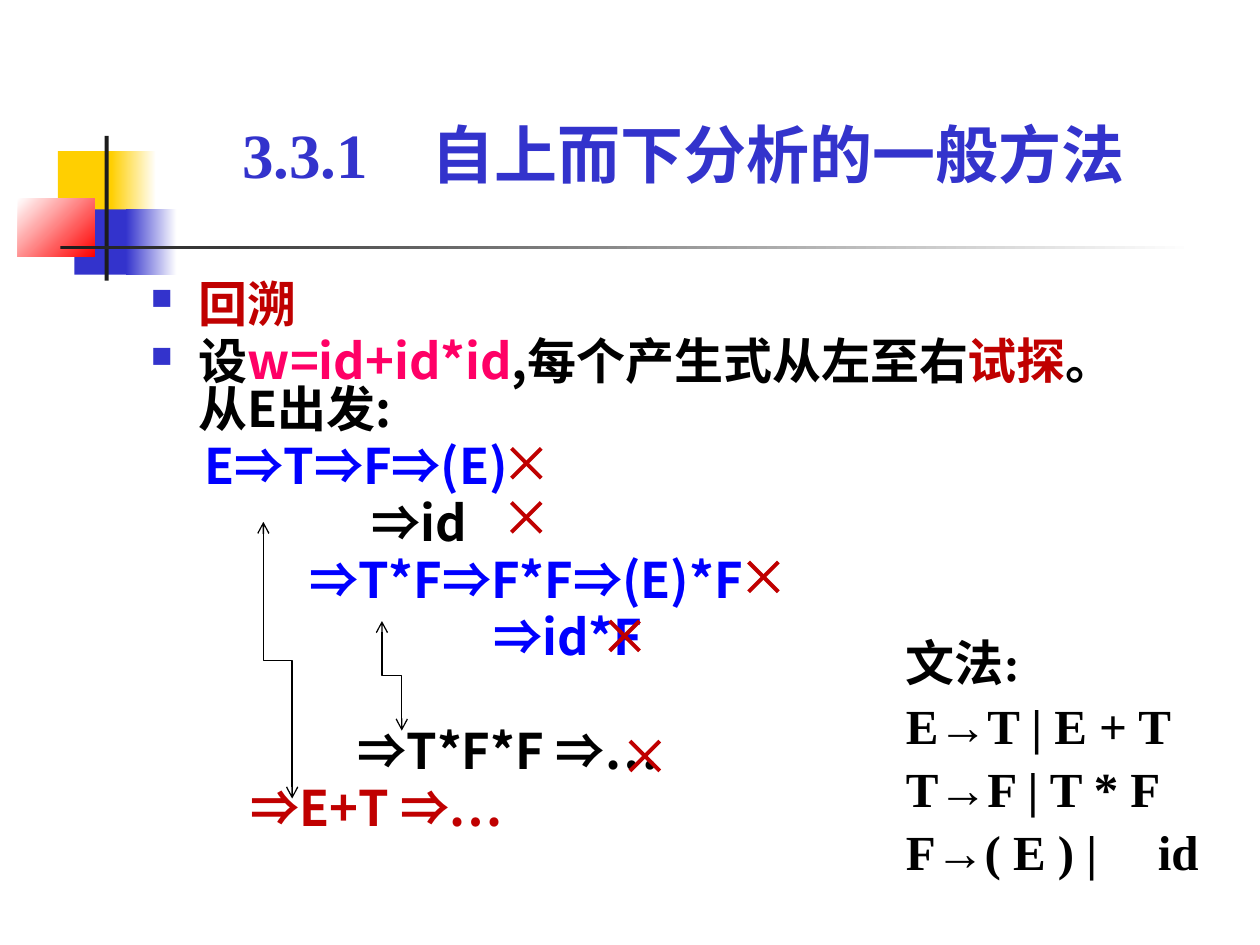
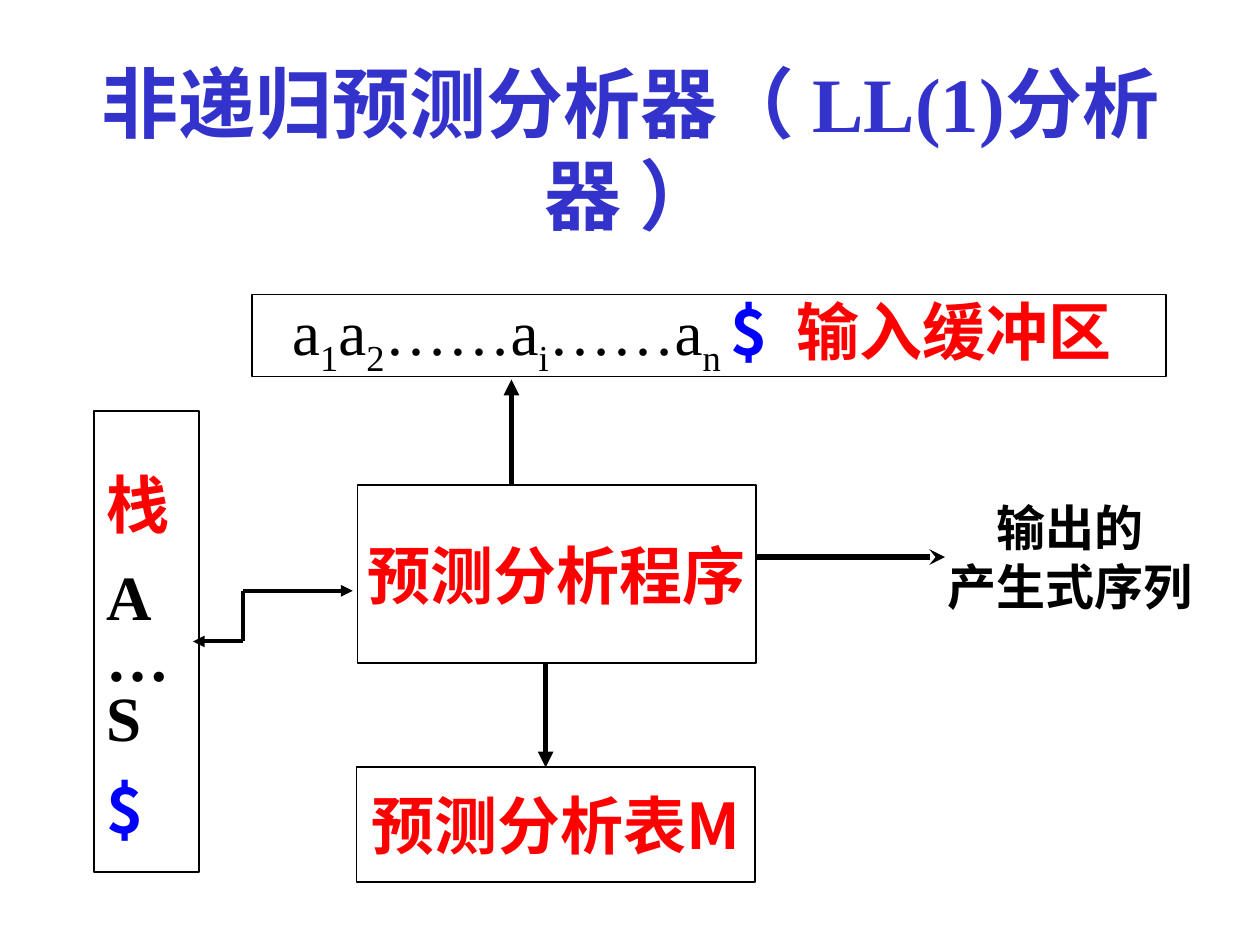
"""Build two slides on top-down parsing."""
from lxml.etree import SubElement as Sub
from pptx import Presentation
from pptx.dml.color import RGBColor as RGB
from pptx.enum.shapes import MSO_CONNECTOR as Conn, MSO_SHAPE as Kind
from pptx.enum.text import MSO_ANCHOR as Anchor, MSO_AUTO_SIZE as Fit, PP_ALIGN as Align
from pptx.oxml.ns import qn
from pptx.util import Cm, Pt

BLACK = RGB(0x00, 0x00, 0x00)
WHITE = RGB(0xFF, 0xFF, 0xFF)
INK = RGB(0x1C, 0x1C, 0x1C)
NAVY = RGB(0x33, 0x33, 0xCC)
GOLD = RGB(0xFF, 0xCF, 0x01)
RED = RGB(0xFF, 0x00, 0x00)
DARK = RGB(0xC0, 0x00, 0x00)
BLUE = RGB(0x00, 0x00, 0xFF)
PINK = RGB(0xFF, 0x00, 0x66)
SERIF = "Times New Roman"
SANS = "Noto Sans CJK SC"
BODY = "Noto Sans CJK JP"


def put(para, text, size=36, color=BLACK, bold=True, font=SERIF, sub=False):
    run = para.add_run()
    run.text = text
    run.font.size = Pt(size)
    run.font.bold = bold
    run.font.color.rgb = color
    run.font.name = font
    props = run._r.get_or_add_rPr()
    Sub(props, qn("a:ea"), typeface=SANS)
    if sub:
        props.set("baseline", "-25000")


class Deck:
    def __init__(self):
        self.file = Presentation()
        self.file.slide_width = Cm(25.4)
        self.file.slide_height = Cm(19.05)
        self.slide = None

    def page(self):
        self.slide = self.file.slides.add_slide(self.file.slide_layouts[5])

    def frame(self, shape, wrap=True, left=0.25, anchor=Anchor.MIDDLE):
        frame = shape.text_frame
        frame.auto_size = Fit.NONE
        frame.word_wrap = wrap
        frame.vertical_anchor = anchor
        frame.margin_left, frame.margin_right = Cm(left), Cm(0.25)
        frame.margin_top = frame.margin_bottom = Cm(0.13)
        return frame

    def para(self, frame, *runs, align=Align.LEFT, line=None, before=0,
             left=0, bullet=False, tab=None, **style):
        first = not frame.paragraphs[0].runs
        para = frame.paragraphs[0] if first else frame.add_paragraph()
        para.alignment = align
        para.space_before = Pt(0 if first else before)
        if line:
            para.line_spacing = Pt(line)
        props = para._p.get_or_add_pPr()
        props.set("marL", str(Cm(left)))
        props.set("indent", str(-Cm(left) if bullet else 0))
        if bullet:
            Sub(Sub(props, qn("a:buClr")), qn("a:srgbClr"), val=str(NAVY))
            Sub(props, qn("a:buSzPct"), val="60000")
            Sub(props, qn("a:buChar"), char="■")
        else:
            Sub(props, qn("a:buNone"))
        if tab:
            Sub(Sub(props, qn("a:tabLst")), qn("a:tab"), pos=str(Cm(tab)), algn="l")
        for text, more in runs:
            put(para, text, **{**style, **more})

    def title(self, text, area, size, inset=0.25, **form):
        shape = self.slide.shapes.title
        shape.left, shape.top, shape.width, shape.height = map(Cm, area)
        frame = self.frame(shape, left=inset)
        self.para(frame, (text, {}), size=size, color=NAVY, **form)

    def text(self, area, inset=0.25):
        box = self.slide.shapes.add_textbox(*map(Cm, area))
        return self.frame(box, left=inset, anchor=Anchor.TOP)

    def rect(self, area):
        shape = self.slide.shapes.add_shape(Kind.RECTANGLE, *map(Cm, area))
        shape.shadow.inherit = False
        return shape

    def block(self, area, color, fade=None, angle=0):
        shape = self.rect(area)
        shape.line.fill.background()
        if fade is None:
            shape.fill.solid()
            shape.fill.fore_color.rgb = color
            return
        shape.fill.gradient()
        shape.fill.gradient_angle = angle
        for stop, tint in zip(shape.fill.gradient_stops, (color, fade)):
            stop.color.rgb = tint

    def cell(self, area, **form):
        shape = self.rect(area)
        shape.fill.background()
        shape.line.color.rgb = BLACK
        shape.line.width = Pt(1)
        return self.frame(shape, **form)

    def line(self, start, end, width=3, color=BLACK, head=None, tail=None, kind=Conn.STRAIGHT):
        link = self.slide.shapes.add_connector(kind, *map(Cm, start + end))
        link.line.color.rgb = color
        link.line.width = Pt(width)
        props = link.element.spPr
        edge = props.find(qn("a:ln"))
        for name, tip in (("a:headEnd", head), ("a:tailEnd", tail)):
            if tip:
                Sub(edge, qn(name), type=tip)
        Sub(props, qn("a:effectLst"))
        return link

    def bend(self, start, end):
        (x, y), (u, v) = start, end
        midx, midy = (x + u) / 2, (y + v) / 2
        long, wide = (v - y) / 2, (u - x) / 2
        link = self.line((midx + long, midy - wide), (midx - long, midy + wide), width=0.75,
                         head="arrow", tail="arrow", kind=Conn.ELBOW)
        link.element.spPr.find(qn("a:xfrm")).set("rot", "16200000")

    def cross(self, x, y, side=0.6):
        self.line((x, y), (x + side, y + side), 2.25, DARK)
        self.line((x + side, y), (x, y + side), 2.25, DARK)

    def motif(self):
        self.block((1.17, 3.05, 1.22, 1.32), GOLD)
        self.block((2.24, 3.05, 0.91, 1.32), GOLD, WHITE)
        self.block((1.5, 4.22, 1.17, 1.32), NAVY)
        self.block((2.54, 4.22, 1.02, 1.32), NAVY, WHITE)
        self.block((0.36, 4.01, 1.55, 1.17), WHITE, RED, angle=315)
        self.block((2.11, 2.74, 0.08, 2.92), INK)
        self.block((1.22, 4.95, 22.86, 0.08), INK, WHITE)


def search(deck):
    deck.page()
    deck.motif()
    deck.title("3.3.1\t自上而下分析的一般方法", (2.9, 1.73, 21.41, 2.72), 36, inset=1.98, tab=3.48)

    body = deck.text((2.79, 5.62, 20.17, 12.19))
    form = dict(size=28, font=BODY, line=27)
    red = dict(color=DARK)
    deck.para(body, ("回溯", red), left=0.97, bullet=True, **form)
    deck.para(body, ("设", {}), ("w=id+id*id", dict(color=PINK)), (",每个产生式从左至右", {}),
              ("试探", red), ("。从E出发:", {}), left=0.97, bullet=True, before=5.6, **form)
    steps = [
        ("E⇒T⇒F⇒(E)", 1.09, BLUE, 5.6),
        ("⇒id", 4.45, BLACK, 5.6),
        ("⇒T*F⇒F*F⇒(E)*F", 3.2, BLUE, 5.6),
        ("⇒id*F", 6.91, BLUE, 5.6),
        ("⇒T*F*F ⇒…", 4.17, BLACK, 38.2),
        ("⇒E+T ⇒…", 2.01, DARK, 5.6),
    ]
    for text, left, color, gap in steps:
        deck.para(body, (text, {}), left=left, color=color, before=gap, **form)

    deck.bend((7.7, 12.52), (8.1, 14.73))
    deck.bend((5.31, 10.52), (5.89, 16.1))

    rules = deck.text((16.74, 12.73, 8.61, 5.97), inset=1.52)
    for text in ("文法:", "E→T | E + T", "T→F | T * F", "F→( E ) |\tid"):
        deck.para(rules, (text, {}), size=28, line=30.4, before=5.6, tab=4.32)

    for spot in ((10.31, 9.04), (10.31, 10.13), (12.29, 12.52), (12.7, 14.94), (15.09, 11.33)):
        deck.cross(*spot)


def model(deck):
    deck.page()
    deck.title("非递归预测分析器（ LL(1)分析器 ）", (0.71, 1.62, 24, 2.72), 44,
               align=Align.CENTER, line=52.6)

    thin, low = dict(bold=False), dict(bold=False, sub=True)
    mark = dict(color=BLUE, font=SANS)
    input = deck.cell((5.08, 5.94, 18.42, 1.65), left=0.81)
    deck.para(input, ("a", thin), ("1", low), ("a", thin), ("2", low), ("……a", thin), ("i", low),
              ("……a", thin), ("n ", low), ("$\t", mark),
              ("输入缓冲区", dict(color=RED, font=SANS)), tab=10.77)

    stack = deck.cell((1.9, 8.28, 2.11, 9.3), wrap=False)
    deck.para(stack, ("栈", dict(color=RED)), line=60)
    for text, gap, look in (("A", 18, {}), ("…", 0, {}), ("S", 0, {}), ("$", 18, mark)):
        deck.para(stack, (text, look), line=34.6, before=gap)

    for text, area, font in (("预测分析程序", (7.21, 9.78, 8.03, 3.58), SERIF),
                             ("预测分析表M", (7.19, 15.47, 8.03, 2.31), SANS)):
        cell = deck.cell(area, wrap=False)
        deck.para(cell, (text, {}), align=Align.CENTER, color=RED, font=font)

    deck.line((10.31, 9.75), (10.31, 7.65), tail="triangle")
    deck.line((11, 13.36), (11, 15.47), tail="triangle")
    deck.line((15.24, 11.23), (19.05, 11.23), tail="stealth")

    label = deck.text((18.57, 9.9, 5.99, 2.62))
    for text in ("输出的", "产生式序列"):
        deck.para(label, (text, {}), size=28, align=Align.CENTER, line=33.6)

    low, high = (4.9, 12.93), (4.9, 11.91)
    deck.line((3.89, 12.93), low, 2.25, head="triangle")
    deck.line(low, high, 2.25)
    deck.line(high, (7.11, 11.91), 2.25, tail="triangle")


def main():
    deck = Deck()
    search(deck)
    model(deck)
    deck.file.save("out.pptx")


if __name__ == "__main__":
    main()
